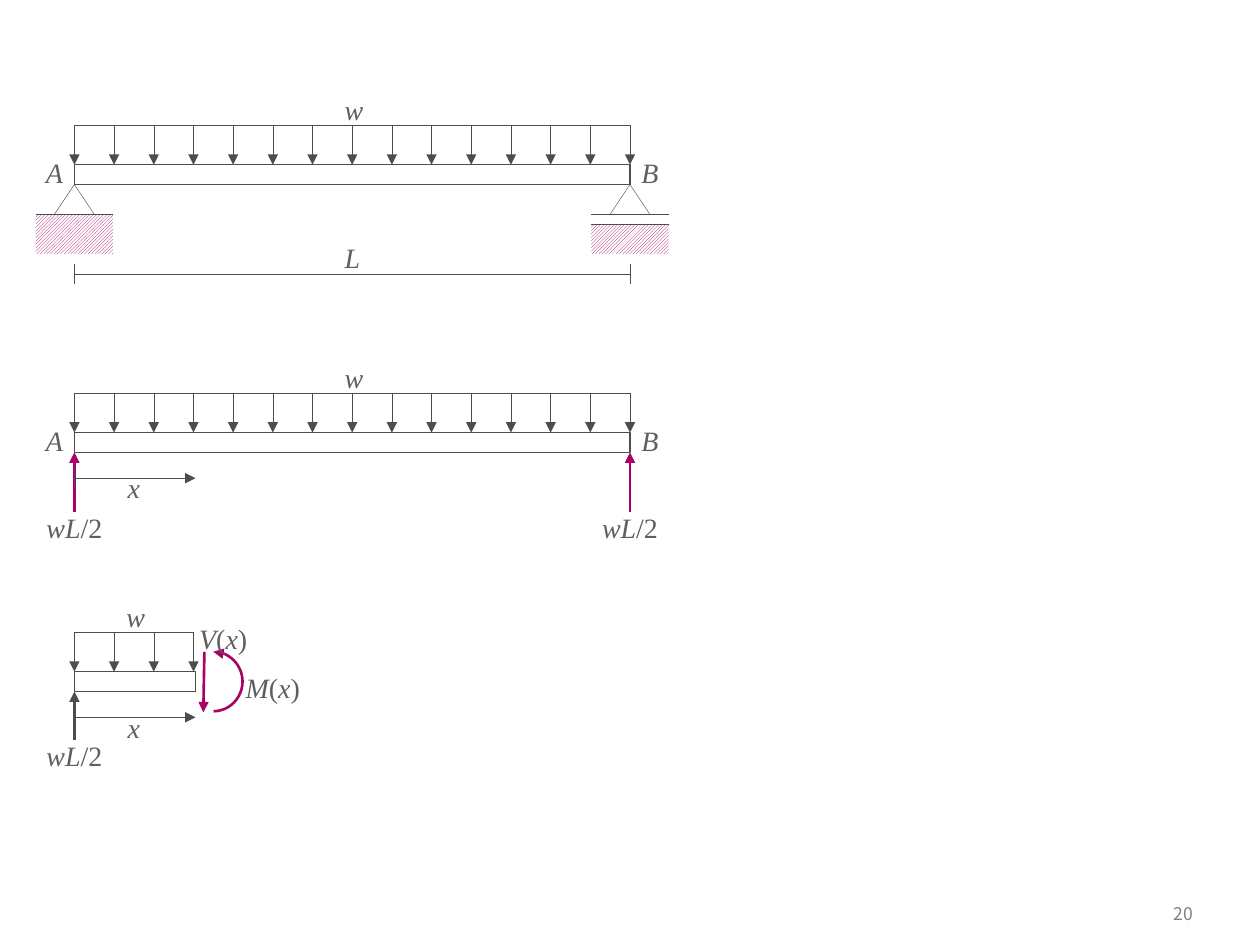
from dataclasses import dataclass
from itertools import groupby

from lxml import etree
from pptx import Presentation
from pptx import util as u
from pptx.dml.color import RGBColor
from pptx.enum import dml, shapes, text
from pptx.oxml.ns import qn


@dataclass(frozen=True)
class Theme:
    """Colours, fonts, type sizes and line widths."""
    ink: RGBColor = RGBColor(0x4D, 0x4D, 0x4D)
    label: RGBColor = RGBColor(0x5F, 0x5F, 0x5F)
    accent: RGBColor = RGBColor(0xA9, 0x01, 0x65)
    paper: RGBColor = RGBColor(0xFF, 0xFF, 0xFF)
    muted: RGBColor = RGBColor(0x80, 0x80, 0x80)
    math_font: str = "Times New Roman"
    page_font: str = "Noto Sans CJK KR"
    math_size: int = 16
    page_size: int = 10
    hairline: float = 0.25
    outline: float = 0.75
    force: float = 1.5


THEME = Theme()
BEAM_HEIGHT = 0.4
LOAD_HEIGHT = 0.8
LOAD_STEP = 0.8
LABEL_HEIGHT = 0.94


def add_head(shape):
    """Put a triangular arrowhead at the end of a line."""
    etree.SubElement(shape.line._get_or_add_ln(), qn("a:tailEnd"), type="triangle")


def add_line(group, x1, y1, x2, y2, color=THEME.ink, weight=THEME.hairline, arrow=False):
    """Draw a straight line, optionally as an arrow."""
    line = group.shapes.add_connector(
        shapes.MSO_CONNECTOR.STRAIGHT, u.Cm(x1), u.Cm(y1), u.Cm(x2), u.Cm(y2))
    line.line.color.rgb = color
    line.line.width = u.Pt(weight)
    if arrow:
        add_head(line)
    etree.SubElement(line._element.spPr, qn("a:effectLst"))


def add_outline(group, kind, left, top, width, height, color=THEME.ink, weight=THEME.hairline):
    """Draw an unfilled preset shape."""
    shape = group.shapes.add_shape(kind, u.Cm(left), u.Cm(top), u.Cm(width), u.Cm(height))
    shape.shadow.inherit = False
    shape.fill.background()
    shape.line.color.rgb = color
    shape.line.width = u.Pt(weight)
    return shape


def add_label(group, words, center, top, width=0.8):
    """Write a formula centred on a point, with its letters in italics."""
    box = group.shapes.add_textbox(
        u.Cm(center - width / 2), u.Cm(top), u.Cm(width), u.Cm(LABEL_HEIGHT))
    box.text_frame.word_wrap = False
    para = box.text_frame.paragraphs[0]
    para.alignment = text.PP_ALIGN.CENTER
    for italic, letters in groupby(words, str.isalpha):
        span = para.add_run()
        span.text = "".join(letters)
        span.font.name = THEME.math_font
        span.font.size = u.Pt(THEME.math_size)
        span.font.color.rgb = THEME.label
        span.font.italic = italic


def add_loaded_beam(group, left, top, width, steps):
    """Draw a beam under a uniform load made of equally spaced arrows."""
    add_outline(group, shapes.MSO_SHAPE.RECTANGLE, left, top, width, BEAM_HEIGHT,
                weight=THEME.outline)
    load_top, load_width = top - LOAD_HEIGHT, steps * LOAD_STEP
    add_line(group, left + load_width, load_top, left, load_top)
    for step in range(steps + 1):
        x = left + step * LOAD_STEP
        add_line(group, x, load_top, x, top, arrow=True)
    add_label(group, "w", left + load_width / 2, top - 1.58)


def add_end_names(group, left, top, width):
    """Name both ends of a beam."""
    add_label(group, "A", left - 0.4, top - 0.3, 1.2)
    add_label(group, "B", left + width + 0.4, top - 0.3, 1.2)


def add_support(group, center, top, gap=0):
    """Draw a triangular support on hatched ground; a gap makes it a roller."""
    width, base, bottom = 1.56, top + 0.6, top + 1.4
    left = center - width / 2
    ground = add_outline(group, shapes.MSO_SHAPE.RECTANGLE,
                         left, base + gap, width, bottom - base - gap)
    ground.line.fill.background()
    ground.fill.patterned()
    ground.fill.pattern = dml.MSO_PATTERN.LIGHT_UPWARD_DIAGONAL
    ground.fill.fore_color.rgb = THEME.accent
    ground.fill.back_color.rgb = THEME.paper
    for y in sorted({base, base + gap}):
        add_line(group, left, y, left + width, y)
    add_outline(group, shapes.MSO_SHAPE.ISOSCELES_TRIANGLE, center - 0.4, top, 0.8, 0.6)


def add_span(group, left, top, width):
    """Draw the dimension line for the whole beam."""
    y = top + 2.2
    for x in (left, left + width):
        add_line(group, x, y - 0.2, x, y + 0.2)
    add_line(group, left, y, left + width, y)
    add_label(group, "L", left + width / 2, top + 1.4)


def add_distance(group, left, top):
    """Draw the arrow that measures x from the left end."""
    y = top + 0.92
    add_line(group, left, y - 0.2, left, y + 0.2)
    add_line(group, left, y, left + 2.44, y, arrow=True)
    add_label(group, "x", left + 1.2, top + 0.65)


def add_reaction(group, x, top, length, color=THEME.accent):
    """Draw an upward reaction below the beam with its value."""
    foot = top + BEAM_HEIGHT + length
    add_line(group, x, foot, x, top + BEAM_HEIGHT, color, THEME.force, arrow=True)
    add_label(group, "wL/2", x, foot - 0.15, 2)


def draw_supported_beam(page, left, top, width):
    """Draw the beam on its pin and roller supports."""
    group = page.shapes.add_group_shape()
    add_loaded_beam(group, left, top, width, round(width / LOAD_STEP))
    add_end_names(group, left, top, width)
    add_support(group, left, top + BEAM_HEIGHT)
    add_support(group, left + width, top + BEAM_HEIGHT, gap=0.2)
    add_span(group, left, top, width)


def draw_free_body(page, left, top, width):
    """Draw the beam with reactions in place of its supports."""
    group = page.shapes.add_group_shape()
    for x in (left, left + width):
        add_reaction(group, x, top, 1.2)
    add_loaded_beam(group, left, top, width, round(width / LOAD_STEP))
    add_end_names(group, left, top, width)
    add_distance(group, left, top)


def draw_cut_section(page, left, top, width):
    """Draw the cut piece with its shear force and bending moment."""
    group = page.shapes.add_group_shape()
    add_distance(group, left, top)
    add_loaded_beam(group, left, top, width, 3)
    add_reaction(group, left, top, 0.98, THEME.ink)
    add_line(group, left + 2.62, top - 0.4, left + 2.6, top + 0.82,
             THEME.accent, THEME.force, arrow=True)
    moment = add_outline(group, shapes.MSO_SHAPE.ARC, left + 2.21, top - 0.4, 1.18, 1.2,
                         THEME.accent, THEME.force)
    moment.adjustments[0] = 162.37
    moment.adjustments[1] = 54
    moment._element.spPr.find(qn("a:xfrm")).set("flipV", "1")
    add_head(moment)
    add_label(group, "M(x)", left + 4, top - 0.15, 2)
    add_label(group, "V(x)", left + 3, top - 1.14, 2)


def draw_page_number(page, left, top, width, height):
    """Write the page number, flush right."""
    box = page.shapes.add_textbox(u.Cm(left), u.Cm(top), u.Cm(width), u.Cm(height))
    box.text_frame.word_wrap = True
    box.text_frame.vertical_anchor = text.MSO_ANCHOR.MIDDLE
    box.text_frame.text = "20"
    para = box.text_frame.paragraphs[0]
    para.alignment = text.PP_ALIGN.RIGHT
    font = para.runs[0].font
    font.name = THEME.page_font
    font.size = u.Pt(THEME.page_size)
    font.color.rgb = THEME.muted


deck = Presentation()
deck.slide_width, deck.slide_height = u.Cm(25.4), u.Cm(19.05)
page = deck.slides.add_slide(deck.slide_layouts[6])
draw_page_number(page, 22.5, 18, 1.8, 0.84)
draw_cut_section(page, 1.5, 13.54, 2.44)
draw_supported_beam(page, 1.5, 3.32, 11.2)
draw_free_body(page, 1.5, 8.72, 11.2)
deck.save("out.pptx")
